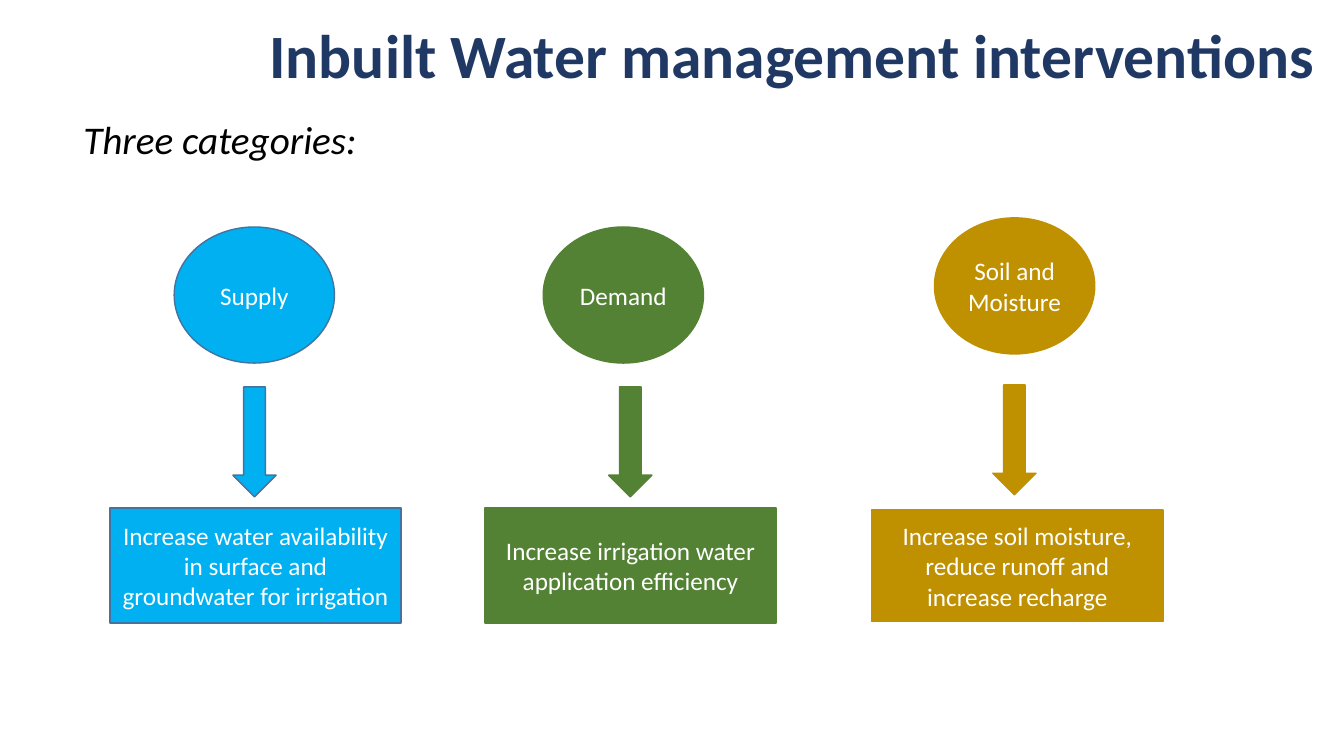
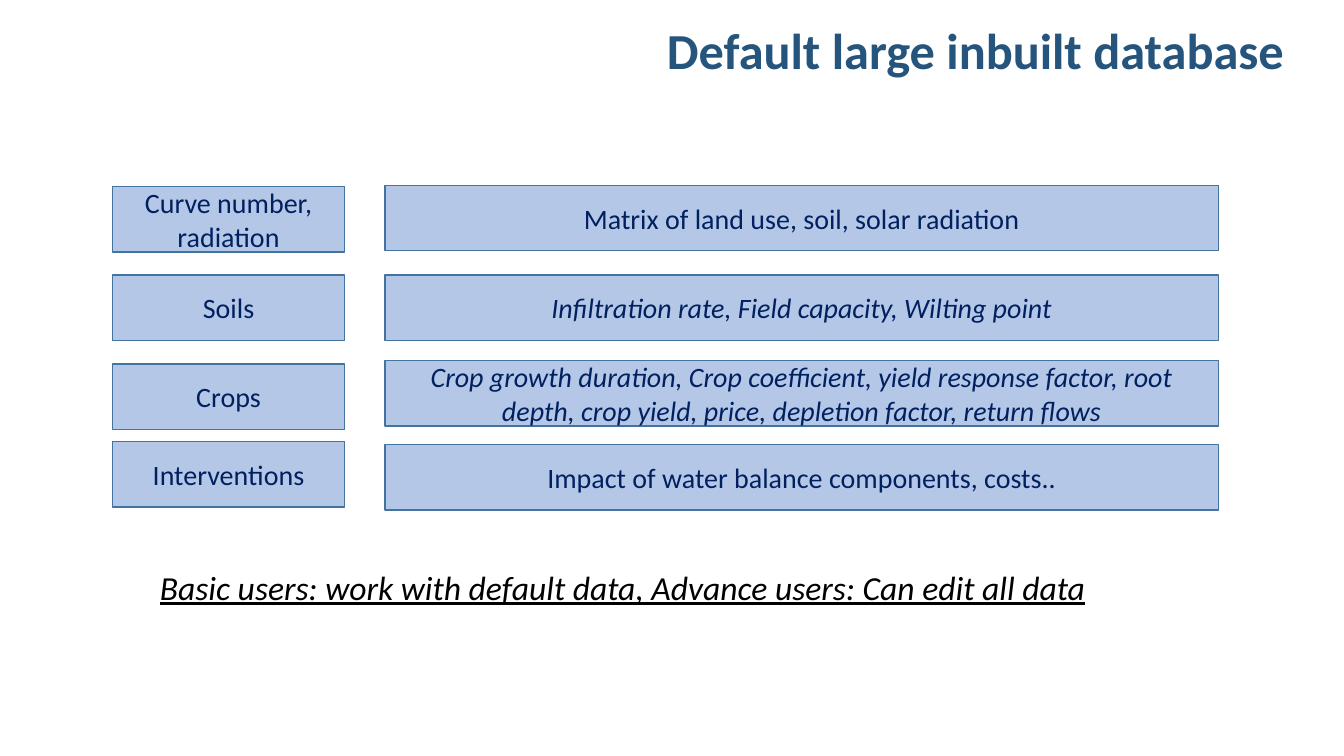
from pptx import Presentation
from pptx.dml.color import RGBColor
from pptx.enum.shapes import MSO_SHAPE as Kind
from pptx.enum.text import MSO_ANCHOR as Anchor, PP_ALIGN as Align
from pptx.util import Cm, Pt

FONT = "Calibri"
WHITE, BLACK = "FFFFFF", "000000"
EDGE, PALE, NAVY = "43739E", "B4C7E7", "002060"
BLUE, GREEN, GOLD = "00B0F0", "548235", "BF9000"

OVAL = (4.04, 3.43)
ARROW = (1.09, 2.77)
BOX_W = 7.34

GROUPS = [
    (BLUE, EDGE, "Supply", (4.39, 5.72), (5.87, 9.75), (2.77, 12.8), 2.9,
     "Increase water availability in surface and groundwater for irrigation"),
    (GREEN, GREEN, "Demand", (13.69, 5.72), (15.34, 9.75), (12.22, 12.8), 2.9,
     "Increase irrigation water application efficiency"),
    (GOLD, GOLD, "Soil and Moisture", (23.55, 5.49), (25.02, 9.7), (21.97, 12.85), 2.82,
     "Increase soil moisture,\nreduce runoff and increase recharge"),
]

ROWS = [
    ("Curve number, radiation", 4.7,
     "Matrix of land use, soil, solar radiation", 4.67, False),
    ("Soils", 6.93,
     "Infiltration rate, Field capacity, Wilting point", 6.93, True),
    ("Crops", 9.17,
     "Crop growth duration, Crop coefficient, yield response factor, "
     "root depth, crop yield, price, depletion factor, return flows", 9.09, True),
    ("Interventions", 11.13,
     "Impact of water balance components, costs..", 11.2, False),
]


def color(code):
    return RGBColor.from_string(code)


def write(frame, text, size, code, align, space=None, **style):
    frame.text = text
    frame.word_wrap = True
    for para in frame.paragraphs:
        para.alignment = align
        if space:
            para.line_spacing = space
        for run in para.runs:
            font = run.font
            font.name, font.size = FONT, Pt(size)
            font.color.rgb = color(code)
            for name, value in style.items():
                setattr(font, name, value)


def label(slide, place, text, size, code, align=Align.LEFT, **style):
    box = slide.shapes.add_textbox(*map(Cm, place))
    box.text_frame.vertical_anchor = Anchor.TOP
    write(box.text_frame, text, size, code, align, **style)


def title(slide, place, text, size, code, align):
    label(slide, place, text, size, code, align, space=0.9, bold=True)


def block(slide, kind, spot, size, fill, edge):
    shape = slide.shapes.add_shape(kind, *map(Cm, (*spot, *size)))
    shape.shadow.inherit = False
    shape.fill.solid()
    shape.fill.fore_color.rgb = color(fill)
    shape.line.color.rgb = color(edge)
    shape.line.width = Pt(1)
    return shape


def panel(slide, kind, spot, size, fill, edge, text, points, code, **style):
    frame = block(slide, kind, spot, size, fill, edge).text_frame
    frame.vertical_anchor = Anchor.MIDDLE
    write(frame, text, points, code, Align.CENTER, **style)


def group(slide, fill, edge, name, oval, arrow, box, high, text):
    panel(slide, Kind.OVAL, oval, OVAL, fill, edge, name, 18, WHITE)
    block(slide, Kind.DOWN_ARROW, arrow, ARROW, fill, edge)
    panel(slide, Kind.RECTANGLE, box, (BOX_W, high), fill, edge, text, 18, WHITE)


def row(slide, name, top, text, level, slant):
    for spot, wide, words, style in (
        ((2.84, top), 5.84, name, {}),
        ((9.7, level), 21.01, text, {"italic": slant}),
    ):
        panel(slide, Kind.RECTANGLE, spot, (wide, 1.65), PALE, EDGE,
              words, 20, NAVY, **style)


def main():
    deck = Presentation()
    deck.slide_width, deck.slide_height = Cm(33.87), Cm(19.05)
    blank = deck.slide_layouts[6]

    slide = deck.slides.add_slide(blank)
    title(slide, (4.19, 0.51, 29.21, 2.11),
          "Inbuilt Water management interventions", 44, "203864", Align.RIGHT)
    label(slide, (1.85, 2.77, 30.18, 1.45), "Three categories:", 28, BLACK, italic=True)
    for item in GROUPS:
        group(slide, *item)

    slide = deck.slides.add_slide(blank)
    title(slide, (15.44, 0.53, 18.3, 1.65),
          "Default large inbuilt database", 36, "25547D", Align.CENTER)
    for item in ROWS:
        row(slide, *item)
    label(slide, (3.78, 14.15, 25.93, 1.27),
          "Basic users: work with default data, Advance users: Can edit all data",
          24, BLACK, italic=True, underline=True)

    deck.save("out.pptx")


if __name__ == "__main__":
    main()
